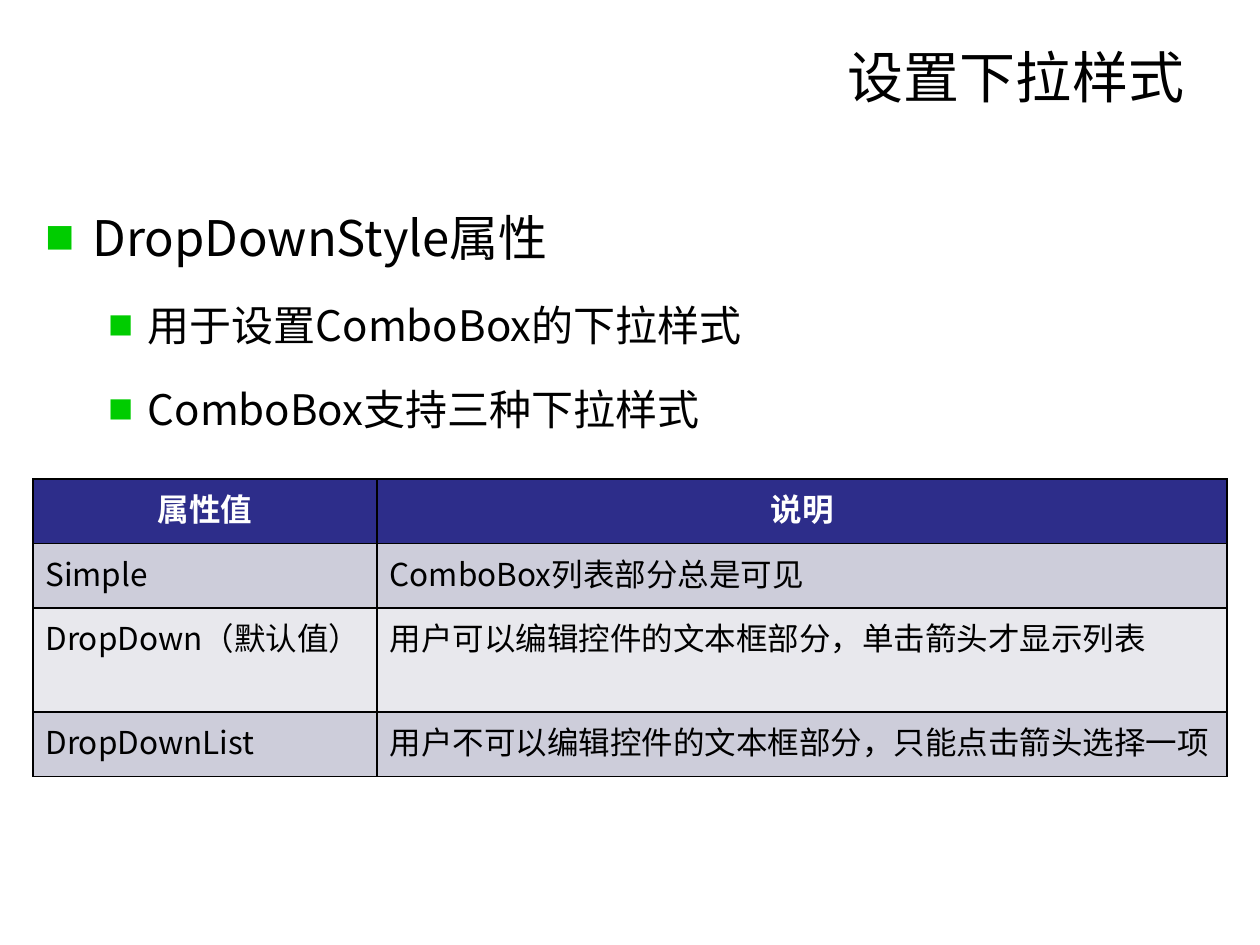
"""Build a slide on the DropDownStyle property with a list and a table."""
from dataclasses import dataclass

from lxml import etree
from pptx import Presentation
from pptx import util as u
from pptx.dml.color import RGBColor
from pptx.enum import text
from pptx.oxml.ns import qn


@dataclass(frozen=True)
class Theme:
    latin: str = "Arial"
    cjk: str = "Noto Sans CJK SC"
    ink: str = "000000"
    paper: str = "FFFFFF"
    bullet: str = "00CC00"
    header: str = "2D2D8A"
    bands: tuple = ("CDCDDA", "E8E8ED")
    title_size: float = 32
    list_sizes: tuple = (28, 24)
    cell_size: float = 18


class Deck:
    def __init__(self, prs, theme):
        self.theme = theme
        self.s = prs.slides.add_slide(prs.slide_layouts[1])

    def place(self, sp, box):
        sp.left, sp.top, sp.width, sp.height = map(u.Pt, box)
        tf = sp.text_frame
        tf.word_wrap = True
        tf.auto_size = text.MSO_AUTO_SIZE.NONE
        return tf

    def run(self, p, words, size, color, font, bold=False):
        r = p.add_run()
        r.text = words
        r.font.size = u.Pt(size)
        r.font.bold = bold
        r.font.color.rgb = RGBColor.from_string(color)
        r.font.name = font
        etree.SubElement(r.font._element, qn("a:ea"), typeface=self.theme.cjk)

    def title(self, words, box):
        tf = self.place(self.s.shapes.title, box)
        tf.vertical_anchor = text.MSO_ANCHOR.MIDDLE
        p = tf.paragraphs[0]
        p.alignment = text.PP_ALIGN.RIGHT
        self.run(p, words, self.theme.title_size, self.theme.ink, self.theme.latin)

    def bullet(self, p, left, hang):
        pPr = p._p.get_or_add_pPr()
        pPr.set("marL", str(u.Pt(left)))
        pPr.set("indent", str(-u.Pt(hang)))
        color = etree.SubElement(pPr, qn("a:buClr"))
        etree.SubElement(color, qn("a:srgbClr"), val=self.theme.bullet)
        etree.SubElement(pPr, qn("a:buSzPct"), val="60000")
        etree.SubElement(pPr, qn("a:buFont"), typeface=self.theme.cjk)
        etree.SubElement(pPr, qn("a:buChar"), char="■")

    def bullets(self, items, box):
        tf = self.place(self.s.placeholders[1], box)
        for i, (level, words) in enumerate(items):
            p = tf.add_paragraph() if i else tf.paragraphs[0]
            p.level = level
            p.line_spacing = 1.5
            self.bullet(p, *((27, 27), (58.5, 22.5))[level])
            self.run(p, words, self.theme.list_sizes[level], self.theme.ink, self.theme.cjk)

    def border(self, cell):
        tcPr = cell._tc.get_or_add_tcPr()
        for i, side in enumerate(("lnL", "lnR", "lnT", "lnB")):
            ln = etree.Element(qn(f"a:{side}"), w=str(u.Pt(1)))
            fill = etree.SubElement(ln, qn("a:solidFill"))
            etree.SubElement(fill, qn("a:srgbClr"), val=self.theme.ink)
            tcPr.insert(i, ln)

    def cell(self, cell, words, row):
        t = self.theme
        head = row == 0
        cell.fill.solid()
        cell.fill.fore_color.rgb = RGBColor.from_string(
            t.header if head else t.bands[(row - 1) % 2])
        self.border(cell)
        p = cell.text_frame.paragraphs[0]
        p.alignment = text.PP_ALIGN.CENTER if head else text.PP_ALIGN.LEFT
        self.run(p, words, t.cell_size, t.paper if head else t.ink, t.cjk, head)

    def table(self, rows, left, top, widths, row_height):
        table = self.s.shapes.add_table(
            len(rows), len(widths), u.Pt(left), u.Pt(top),
            u.Pt(sum(widths)), u.Pt(row_height * len(rows))).table
        for column, width in zip(table.columns, widths):
            column.width = u.Pt(width)
        for i, row in enumerate(rows):
            for j, words in enumerate(row):
                self.cell(table.cell(i, j), words, i)


def main():
    prs = Presentation()
    prs.slide_width, prs.slide_height = u.Pt(720), u.Pt(540)
    deck = Deck(prs, Theme())
    deck.title("设置下拉样式", (184.5, 21.5, 499.5, 44))
    deck.bullets([
        (0, "DropDownStyle属性"),
        (1, "用于设置ComboBox的下拉样式"),
        (1, "ComboBox支持三种下拉样式"),
    ], (18.75, 98, 648, 175.5))
    deck.table([
        ("属性值", "说明"),
        ("Simple", "ComboBox列表部分总是可见"),
        ("DropDown（默认值）", "用户可以编辑控件的文本框部分，单击箭头才显示列表"),
        ("DropDownList", "用户不可以编辑控件的文本框部分，只能点击箭头选择一项"),
    ], 18.75, 273.75, (196.8, 485.6), 36.9)
    prs.save("out.pptx")


if __name__ == "__main__":
    main()
